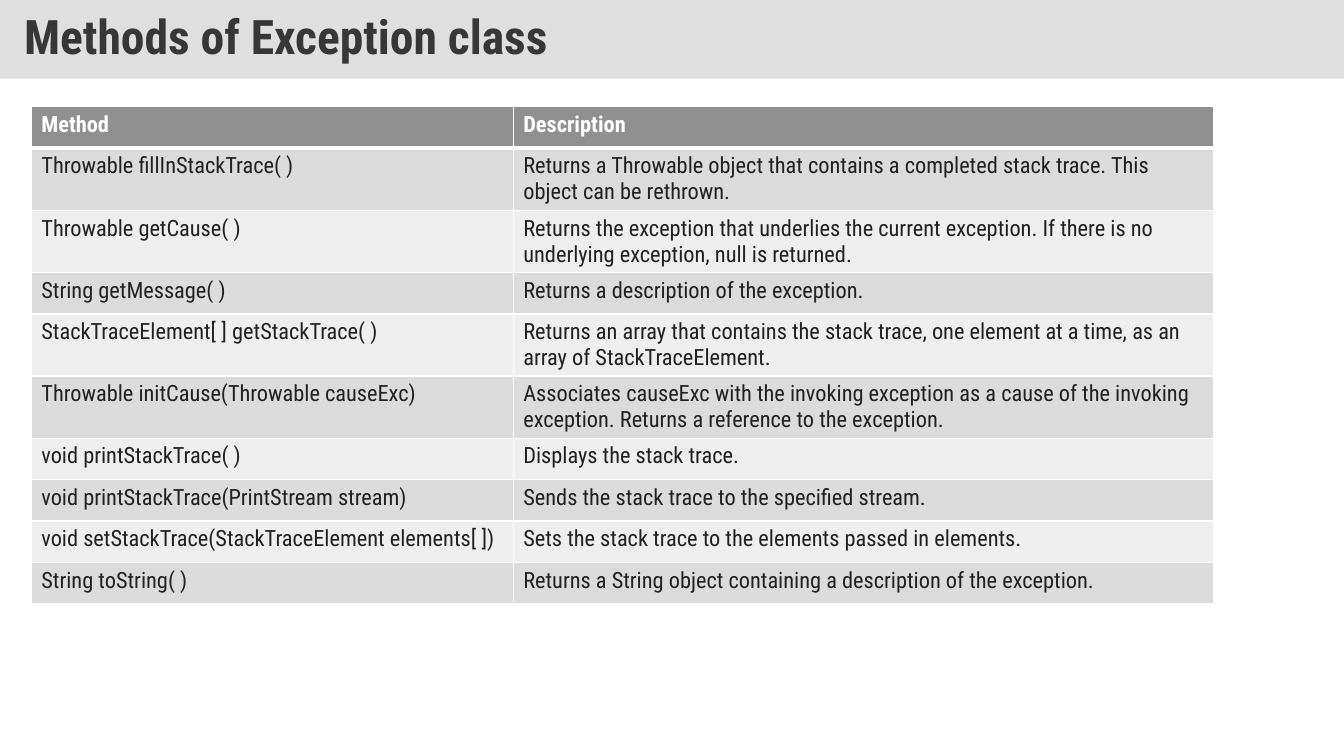
"""Build a slide that tabulates the methods of the Exception class."""
from dataclasses import dataclass

from lxml import etree
from pptx import Presentation
from pptx.dml.color import RGBColor
from pptx.enum.shapes import MSO_SHAPE
from pptx.enum.text import MSO_ANCHOR, PP_ALIGN
from pptx.oxml.ns import qn
from pptx.util import Inches, Pt

RECT = MSO_SHAPE.RECTANGLE
MIDDLE, TOP = MSO_ANCHOR.MIDDLE, MSO_ANCHOR.TOP
LEFT = PP_ALIGN.LEFT

W, H = Inches(13.33), Inches(7.5)
FONT = "Roboto Condensed"
COLORS = {
    "band": "C0C0C0",
    "title": "373737",
    "header": "909090",
    "odd": "DBDBDB",
    "even": "EEEEEE",
    "text": "212121",
    "white": "FFFFFF",
}
COLUMN_SHARES = (35.86, 52.14)
LINE_SHARE = 5.47
EXTRA_LINE_SHARE = 2.7


@dataclass(frozen=True)
class Method:
    signature: str
    description: str
    lines: int = 1


METHODS = [
    Method("Throwable fillInStackTrace( )",
           "Returns a Throwable object that contains a completed stack trace. "
           "This object can be rethrown.", 2),
    Method("Throwable getCause( )",
           "Returns the exception that underlies the current exception. "
           "If there is no underlying exception, null is returned.", 2),
    Method("String getMessage( )", "Returns a description of the exception."),
    Method("StackTraceElement[ ] getStackTrace( )",
           "Returns an array that contains the stack trace, one element at a time, "
           "as an array of StackTraceElement.", 2),
    Method("Throwable initCause(Throwable causeExc)",
           "Associates causeExc with the invoking exception as a cause of the "
           "invoking exception. Returns a reference to the exception.", 2),
    Method("void printStackTrace( )", "Displays the stack trace."),
    Method("void printStackTrace(PrintStream stream)",
           "Sends the stack trace to the specified stream."),
    Method("void setStackTrace(StackTraceElement elements[ ])",
           "Sets the stack trace to the elements passed in elements."),
    Method("String toString( )",
           "Returns a String object containing a description of the exception."),
]


def across(percent: float) -> int:
    return round(W * percent / 100)


def down(percent: float) -> int:
    return round(H * percent / 100)


def rgb(name: str) -> RGBColor:
    return RGBColor.from_string(COLORS[name])


def add_run(p, text: str, size: int, color: str, bold: bool) -> None:
    r = p.add_run()
    r.text = text
    r.font.name, r.font.size, r.font.bold = FONT, Pt(size), bold
    r.font.color.rgb = rgb(color)


def add_title(s, text: str) -> None:
    sp = s.shapes.add_shape(RECT, 0, 0, W, down(10.4))
    sp.shadow.inherit = False
    sp.line.fill.background()
    sp.fill.solid()
    sp.fill.fore_color.rgb = rgb("band")
    color = sp._element.spPr.find(qn("a:solidFill"))[0]
    etree.SubElement(color, qn("a:alpha")).set("val", "50000")
    tf = sp.text_frame
    tf.word_wrap = True
    tf.vertical_anchor = MIDDLE
    tf.margin_left = tf.margin_right = across(1.8)
    tf.margin_top = tf.margin_bottom = down(1.6)
    p = tf.paragraphs[0]
    p.alignment, p.line_spacing = LEFT, 0.9
    add_run(p, text, 34, "title", True)


def set_borders(cell, top: int, bottom: int) -> None:
    tc_pr = cell._tc.get_or_add_tcPr()
    for side, width in (("L", 1), ("R", 1), ("T", top), ("B", bottom)):
        ln = etree.SubElement(tc_pr, qn(f"a:ln{side}"), w=str(Pt(width)))
        fill = etree.SubElement(ln, qn("a:solidFill"))
        etree.SubElement(fill, qn("a:srgbClr"), val=COLORS["white"])


def add_methods_table(s, methods: list[Method]) -> None:
    rows = [Method("Method", "Description"), *methods]
    heights = [LINE_SHARE + EXTRA_LINE_SHARE * (m.lines - 1) for m in rows]
    table = s.shapes.add_table(
        len(rows), len(COLUMN_SHARES), across(2.33), down(14.13),
        across(sum(COLUMN_SHARES)), down(sum(heights))).table
    for column, share in zip(table.columns, COLUMN_SHARES):
        column.width = across(share)
    for i, (method, height) in enumerate(zip(rows, heights)):
        table.rows[i].height = down(height)
        is_header = i == 0
        fill = "header" if is_header else "odd" if i % 2 else "even"
        for j, text in enumerate((method.signature, method.description)):
            cell = table.cell(i, j)
            cell.vertical_anchor = TOP
            set_borders(cell, 3 if i == 1 else 1, 3 if is_header else 1)
            cell.fill.solid()
            cell.fill.fore_color.rgb = rgb(fill)
            add_run(cell.text_frame.paragraphs[0], text, 16,
                    "white" if is_header else "text", is_header)


def main() -> None:
    prs = Presentation()
    prs.slide_width, prs.slide_height = W, H
    s = prs.slides.add_slide(prs.slide_layouts[6])
    add_title(s, "Methods of Exception class")
    add_methods_table(s, METHODS)
    prs.save("out.pptx")


if __name__ == "__main__":
    main()
